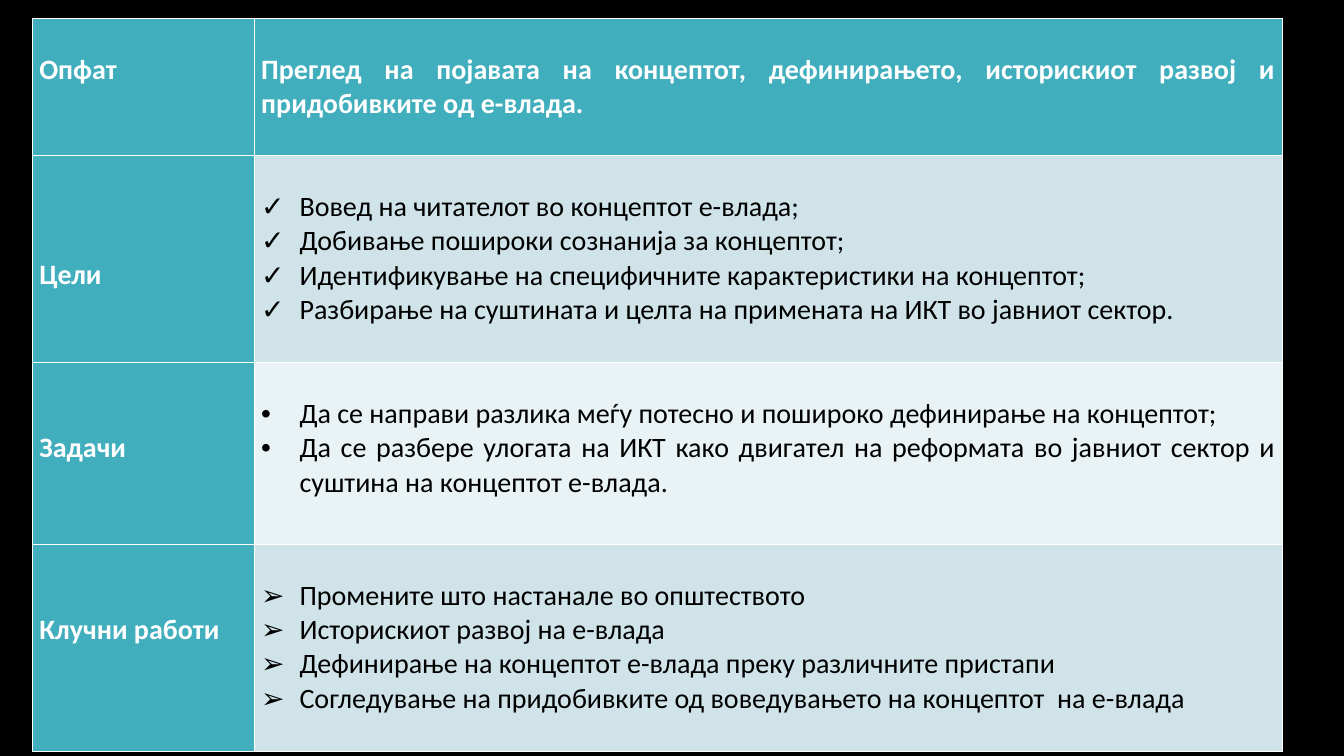
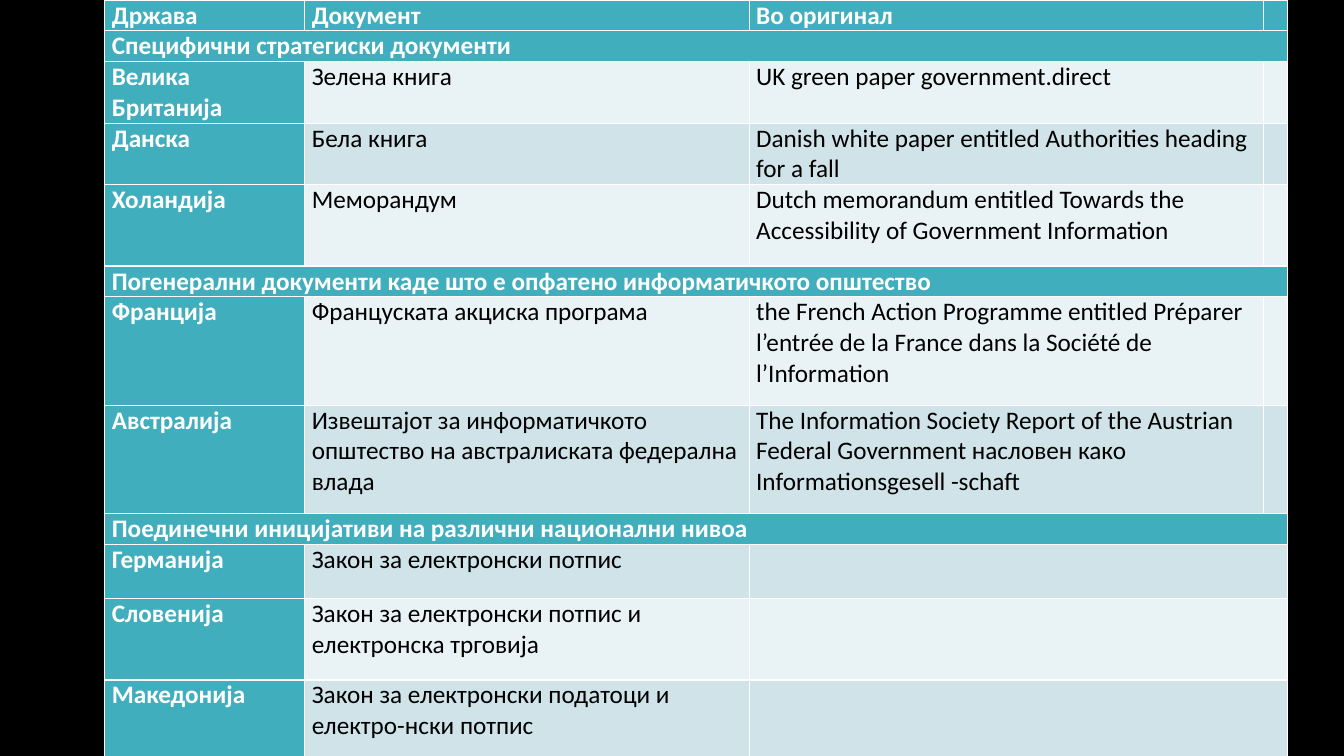
from pptx import Presentation
from pptx.dml.color import RGBColor
from pptx.enum.text import MSO_ANCHOR, PP_ALIGN
from pptx.util import Inches, Pt
from lxml.etree import SubElement
from pptx.oxml.ns import qn

BLACK = RGBColor(0x00, 0x00, 0x00)
WHITE = RGBColor(0xFF, 0xFF, 0xFF)
TEAL = RGBColor(0x41, 0xAE, 0xBD)
MIST = RGBColor(0xCF, 0xE3, 0xE8)
PALE = RGBColor(0xE9, 0xF2, 0xF4)

FONT = "Calibri"
WIDE, HIGH = Inches(13.33), Inches(7.5)
PAD = Inches(0.07)
HANG = Inches(0.38)
LINE = Inches(0.34)  # one line of the plan's text

# Plan: label, lines above the label, bullet, texts
PLAN = [
    ("Опфат", 1, None, [
        "Преглед на појавата на концептот, дефинирањето, историскиот развој и придобивките од е-влада."]),
    ("Цели", 3, "✓", [
        "Вовед на читателот во концептот е-влада;",
        "Добивање пошироки сознанија за концептот;",
        "Идентификување на специфичните карактеристики на концептот;",
        "Разбирање на суштината и целта на примената на ИКТ во јавниот сектор."]),
    ("Задачи", 2, "•", [
        "Да се направи разлика меѓу потесно и пошироко дефинирање на концептот;",
        "Да се разбере улогата на ИКТ како двигател на реформата во јавниот сектор "
        "и суштина на концептот е-влада."]),
    ("Клучни работи", 2, "➢", [
        "Промените што настанале во општеството",
        "Историскиот развој на е-влада",
        "Дефинирање на концептот е-влада преку различните пристапи",
        "Согледување на придобивките од воведувањето на концептот  на е-влада"]),
]

# Papers: a row with one text is a band, a row with two has a wide blank cell
PAPERS = [
    ("Држава", "Документ", "Во оригинал"),
    ("Специфични стратегиски документи",),
    ("Велика Британија", "Зелена книга", "UK green paper government.direct"),
    ("Данска", "Бела книга", "Danish white paper entitled Authorities heading for a fall"),
    ("Холандија", "Меморандум",
     "Dutch memorandum entitled Towards the Accessibility of Government Information"),
    ("Погенерални документи каде што е опфатено информатичкото општество",),
    ("Франција", "Француската акциска програма",
     "the French Action Programme entitled Préparer l’entrée de la France "
     "dans la Société de l’Information"),
    ("Австралија", "Извештајот за информатичкото општество на австралиската федерална влада",
     "The Information Society Report of the Austrian Federal Government "
     "насловен како Informationsgesell -schaft"),
    ("Поединечни иницијативи на различни национални нивоа",),
    ("Германија", "Закон за електронски потпис"),
    ("Словенија", "Закон за електронски потпис и електронска трговија"),
    ("Македонија", "Закон за електронски податоци и електро-нски потпис"),
]


def new_slide(deck):
    """Add a blank slide with the shared black ground."""
    slide = deck.slides.add_slide(deck.slide_layouts[6])
    slide.background.fill.solid()
    slide.background.fill.fore_color.rgb = BLACK
    return slide


def add_grid(slide, box, cols, rows):
    """Add a table in a box (shares of the slide), split by weights."""
    x, y, w, h = (int(part * full) for part, full in zip(box, (WIDE, HIGH) * 2))
    table = slide.shapes.add_table(len(rows), len(cols), x, y, w, h).table
    table.horz_banding = False
    for col, part in zip(table.columns, cols):
        col.width = int(w * part / sum(cols))
    for row, part in zip(table.rows, rows):
        row.height = int(h * part / sum(rows))
    return table


def add_mark(para, mark):
    """Give a paragraph a hanging bullet."""
    props = para._p.get_or_add_pPr()
    props.set("marL", str(HANG))
    props.set("indent", str(-HANG))
    SubElement(props, qn("a:buFont"), typeface="Arial")
    SubElement(props, qn("a:buChar"), char=mark)


def fill_cell(cell, texts, fill, size, align=PP_ALIGN.LEFT, top=0, mark=None):
    """Fill and style one cell; teal cells carry bold white text."""
    cell.fill.solid()
    cell.fill.fore_color.rgb = fill
    cell.margin_left = cell.margin_right = PAD
    cell.margin_top, cell.margin_bottom = top, 0
    cell.vertical_anchor = MSO_ANCHOR.TOP
    cell.text_frame.text = "\n".join(texts)
    for para in cell.text_frame.paragraphs:
        para.alignment = align
        if mark:
            add_mark(para, mark)
        font = para.font
        font.name, font.size = FONT, Pt(size)
        font.bold = fill == TEAL
        font.color.rgb = WHITE if fill == TEAL else BLACK


def plan_slide(deck, box):
    """Scope, goals, tasks and key points."""
    table = add_grid(new_slide(deck), box, (2.2, 10.19), (1.36, 2.05, 1.8, 2.05))
    fills = (TEAL, MIST, PALE, MIST)
    for i, (label, skip, mark, texts) in enumerate(PLAN):
        fill_cell(table.cell(i, 0), [label], TEAL, 20, PP_ALIGN.JUSTIFY, skip * LINE)
        fill_cell(table.cell(i, 1), texts, fills[i], 20, PP_ALIGN.JUSTIFY, LINE, mark)


def paper_slide(deck, box):
    """Documents by country, in banded groups."""
    rows = (0.3, 0.3, 0.6, 0.6, 0.81, 0.3, 1.08, 1.08, 0.3, 0.54, 0.81, 0.81)
    table = add_grid(new_slide(deck), box, (1.98, 4.4, 5.09, 0.24), rows)
    last = len(table.columns) - 1
    for i, texts in enumerate(PAPERS):
        # Header and bands are teal, the other rows alternate
        body = TEAL if i == 0 or len(texts) == 1 else (PALE, MIST)[i % 2]
        for j in range(last + 1):
            text = texts[j] if j < len(texts) else ""
            fill_cell(table.cell(i, j), [text], body if j else TEAL, 18)
        if len(texts) < last:
            start = 0 if len(texts) == 1 else len(texts)
            table.cell(i, start).merge(table.cell(i, last))


def main():
    deck = Presentation()
    deck.slide_width, deck.slide_height = WIDE, HIGH
    plan_slide(deck, (0.024, 0.024, 0.93, 0.97))
    paper_slide(deck, (0.078, 0, 0.88, 1))
    deck.save("out.pptx")


if __name__ == "__main__":
    main()
